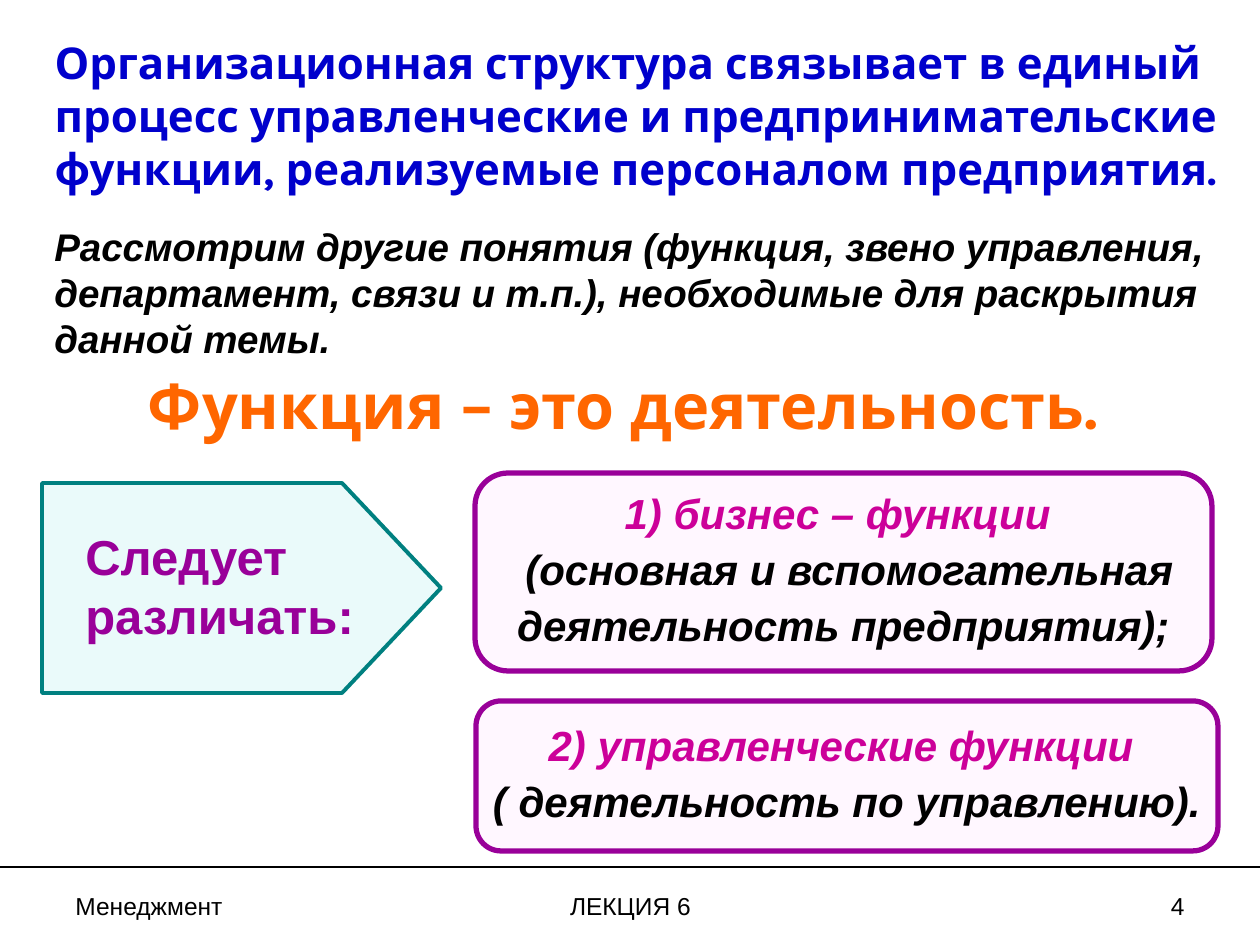
from lxml import etree
from pptx import Presentation
from pptx import util as u
from pptx.dml.color import RGBColor
from pptx.enum import shapes, text
from pptx.oxml.ns import qn

PX_PER_INCH = 126
LEFT, CENTER, RIGHT = text.PP_ALIGN.LEFT, text.PP_ALIGN.CENTER, text.PP_ALIGN.RIGHT
BLACK, PURPLE, MAGENTA = "000000", "990099", "CC0099"

# Content
HEADING = [
    "Организационная структура связывает в единый",
    "процесс управленческие и предпринимательские",
    "функции, реализуемые персоналом предприятия.",
]
INTRO = ("Рассмотрим другие понятия (функция, звено управления, департамент, "
         "связи и т.п.), необходимые для раскрытия данной темы.")
DEFINITION = "Функция – это деятельность."
ARROW_LABEL = "Следует\vразличать:"
ARROW_POINTS = [(42, 483), (342, 483), (441, 588), (342, 693), (42, 693)]
FUNCTION_CARDS = [  # box, name, explanation lines
    ((475, 473, 737, 198), "1) бизнес – функции ",
     [" (основная и вспомогательная", "деятельность предприятия);"]),
    ((476, 701, 742, 150), "2) управленческие функции ",
     ["( деятельность по управлению)."]),
]
FOOTER = [  # left, width, text, alignment
    (63, 294, "Менеджмент", LEFT),
    (431, 399, "ЛЕКЦИЯ 6", CENTER),
    (903, 294, "4", RIGHT),
]


def px(value):
    return u.Emu(round(value * 914400 / PX_PER_INCH))


def color(value):
    return RGBColor.from_string(value)


def paint(shape, fill, line, width):
    shape.shadow.inherit = False
    shape.fill.solid()
    shape.fill.fore_color.rgb = color(fill)
    shape.line.color.rgb = color(line)
    shape.line.width = u.Pt(width)


def write(shape, lines, size, colors, font="Arial", bold=True, italic=False,
          align=LEFT, spacing=1.0, before=0, anchor=text.MSO_ANCHOR.TOP, wrap=True):
    """Fill a shape with one paragraph per line; the last colour carries on."""
    frame = shape.text_frame
    frame.word_wrap = wrap
    frame.auto_size = text.MSO_AUTO_SIZE.NONE
    frame.vertical_anchor = anchor
    for index, line in enumerate(lines):
        paragraph = frame.add_paragraph() if index else frame.paragraphs[0]
        paragraph.text = line
        paragraph.alignment = align
        paragraph.line_spacing = spacing
        paragraph.space_before = u.Pt(before if index else 0)
        paragraph.font.name = font
        paragraph.font.size = u.Pt(size)
        paragraph.font.bold = bold
        paragraph.font.italic = italic
        paragraph.font.color.rgb = color(colors[min(index, len(colors) - 1)])


def add_text(slide, box, lines, size, colors, **style):
    write(slide.shapes.add_textbox(*map(px, box)), lines, size, colors, **style)


def add_round_box(slide, box):
    return slide.shapes.add_shape(shapes.MSO_SHAPE.ROUNDED_RECTANGLE, *map(px, box))


def main():
    presentation = Presentation()
    presentation.slide_width, presentation.slide_height = px(1260), px(945)
    slide = presentation.slides.add_slide(presentation.slide_layouts[5])

    # Heading and introduction
    title = slide.shapes.title
    title.left, title.top, title.width, title.height = map(px, (42, 40, 1197, 161))
    write(title, HEADING, 25, ["0000CC"], font="Karla", spacing=0.8, before=6.2)
    add_text(slide, (42, 217, 1197, 151), [INTRO], 22, [BLACK], italic=True)

    # Definition
    definition = add_round_box(slide, (112, 369, 1022, 82))
    definition.shadow.inherit = False
    definition.fill.background()
    definition.line.fill.background()
    write(definition, [DEFINITION], 36, ["FF6600"], font="Karla", align=CENTER,
          spacing=0.85, anchor=text.MSO_ANCHOR.MIDDLE, wrap=False)

    # Arrow block with its label
    builder = slide.shapes.build_freeform(*map(px, ARROW_POINTS[0]), scale=1.0)
    builder.add_line_segments([(px(x), px(y)) for x, y in ARROW_POINTS[1:]], close=True)
    paint(builder.convert_to_shape(), "EAFAFA", "008080", 2.25)
    add_text(slide, (73, 520, 315, 131), [ARROW_LABEL], 28, [PURPLE])

    # Kinds of functions
    for box, name, explanation in FUNCTION_CARDS:
        card = add_round_box(slide, box)
        paint(card, "FFF7FF", PURPLE, 3)
        write(card, [name, *explanation], 24, [MAGENTA, BLACK], italic=True,
              align=CENTER, spacing=0.9, before=6,
              anchor=text.MSO_ANCHOR.MIDDLE, wrap=False)

    # Footer rule and texts
    rule = slide.shapes.add_connector(
        shapes.MSO_CONNECTOR.STRAIGHT, px(0), px(867), px(1260), px(867))
    rule.line.color.rgb = color(BLACK)
    rule.line.width = u.Pt(1.5)
    etree.SubElement(rule._element.spPr, qn("a:effectLst"))
    for left, width, label, align in FOOTER:
        add_text(slide, (left, 885, width, 43), [label], 14, [BLACK],
                 bold=False, align=align)

    presentation.save("out.pptx")


if __name__ == "__main__":
    main()
